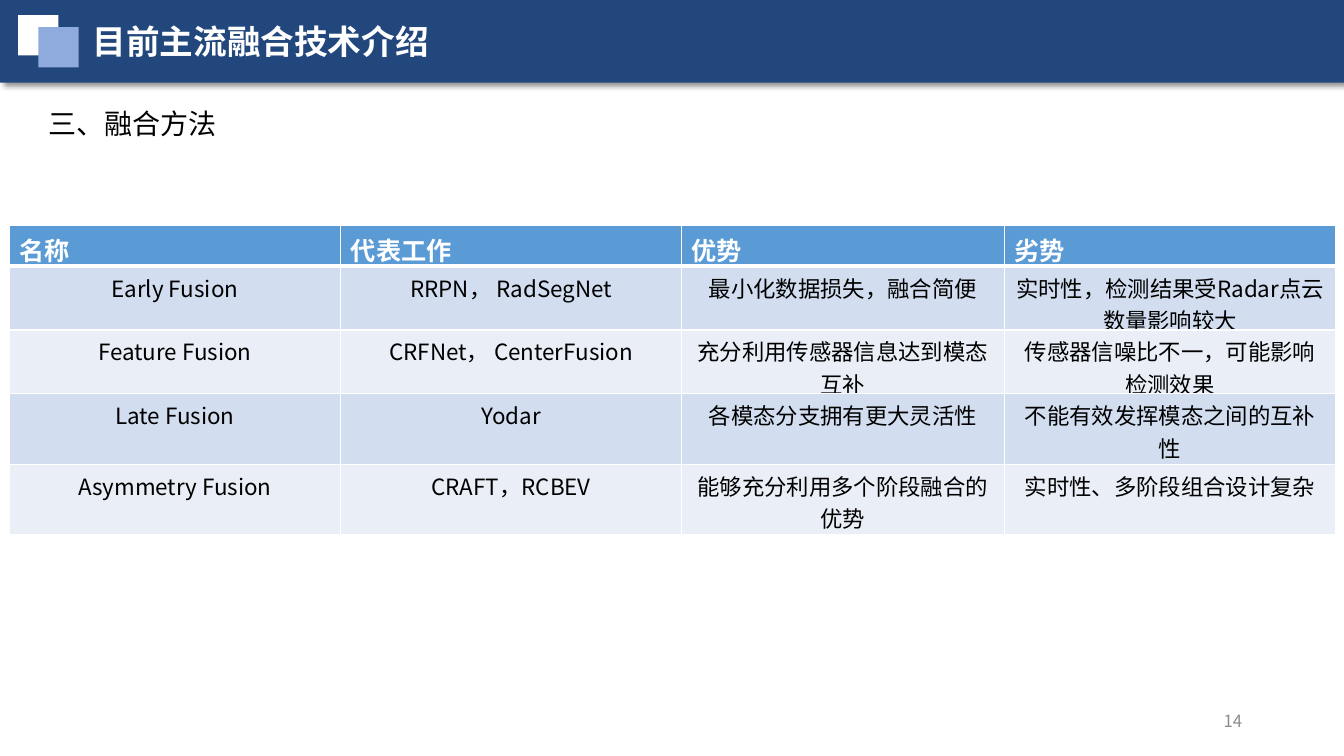
from lxml import etree
from pptx import Presentation
from pptx.dml.color import RGBColor
from pptx.enum.shapes import MSO_SHAPE
from pptx.enum.text import MSO_ANCHOR, PP_ALIGN
from pptx.oxml import parse_xml
from pptx.oxml.ns import nsdecls, qn
from pptx.util import Inches, Pt

RECTANGLE = MSO_SHAPE.RECTANGLE
TOP, MIDDLE = MSO_ANCHOR.TOP, MSO_ANCHOR.MIDDLE
LEFT, CENTER, RIGHT = PP_ALIGN.LEFT, PP_ALIGN.CENTER, PP_ALIGN.RIGHT

FONT = "Noto Sans CJK SC"
WHITE, BLACK, GRAY = "FFFFFF", "000000", "8C8C8C"
NAVY, LIGHT_BLUE, HEADER_BLUE = "22477D", "8FAADC", "5B9BD5"
BAND_FILLS = ["D2DEEF", "EAEFF7"]

COLUMN_WIDTHS = [3.29, 3.38, 3.2, 3.29]
ROW_HEIGHTS = [0.37, 0.63, 0.63, 0.7, 0.7]
FUSION_METHODS = [
    ["名称", "代表工作", "优势", "劣势"],
    ["Early Fusion", "RRPN， RadSegNet", "最小化数据损失，融合简便",
     "实时性，检测结果受Radar点云数量影响较大"],
    ["Feature Fusion", "CRFNet， CenterFusion", "充分利用传感器信息达到模态互补",
     "传感器信噪比不一，可能影响检测效果"],
    ["Late Fusion", "Yodar", "各模态分支拥有更大灵活性",
     "不能有效发挥模态之间的互补性"],
    ["Asymmetry Fusion", "CRAFT，RCBEV", "能够充分利用多个阶段融合的优势",
     "实时性、多阶段组合设计复杂"],
]


def color(value):
    return RGBColor.from_string(value)


def write_text(text_frame, text, size, text_color, bold=False, alignment=LEFT):
    paragraph = text_frame.paragraphs[0]
    paragraph.alignment = alignment
    run = paragraph.add_run()
    run.text = text
    run.font.size = Pt(size)
    run.font.bold = bold
    run.font.color.rgb = color(text_color)
    run.font.name = FONT
    properties = run.font._element
    etree.SubElement(properties, qn("a:ea")).set("typeface", FONT)


def add_rectangle(slide, left, top, width, height, fill):
    shape = slide.shapes.add_shape(
        RECTANGLE, Inches(left), Inches(top), Inches(width), Inches(height))
    shape.shadow.inherit = False
    shape.fill.solid()
    shape.fill.fore_color.rgb = color(fill)
    shape.line.fill.background()
    return shape


def add_shadow(shape):
    effects = shape._element.spPr.find(qn("a:effectLst"))
    effects.append(parse_xml(
        f'<a:outerShdw {nsdecls("a")} blurRad="{Pt(4)}" dist="{Pt(3)}" '
        f'dir="2700000" algn="tl" rotWithShape="0"><a:srgbClr val="{BLACK}">'
        '<a:alpha val="40000"/></a:srgbClr></a:outerShdw>'))


def add_text(slide, left, top, width, height, text, size, text_color,
             bold=False, alignment=LEFT, anchor=TOP):
    box = slide.shapes.add_textbox(
        Inches(left), Inches(top), Inches(width), Inches(height))
    box.text_frame.word_wrap = True
    box.text_frame.vertical_anchor = anchor
    write_text(box.text_frame, text, size, text_color, bold, alignment)


def set_borders(cell, bottom_width):
    properties = cell._tc.get_or_add_tcPr()
    for side, width in zip("LRTB", [1, 1, 1, bottom_width]):
        properties.append(parse_xml(
            f'<a:ln{side} {nsdecls("a")} w="{Pt(width)}"><a:solidFill>'
            f'<a:srgbClr val="{WHITE}"/></a:solidFill></a:ln{side}>'))


def add_method_table(slide, left, top):
    table = slide.shapes.add_table(
        len(ROW_HEIGHTS), len(COLUMN_WIDTHS), Inches(left), Inches(top),
        Inches(sum(COLUMN_WIDTHS)), Inches(sum(ROW_HEIGHTS))).table
    for column, width in zip(table.columns, COLUMN_WIDTHS):
        column.width = Inches(width)
    for row_index, (row, height) in enumerate(zip(table.rows, ROW_HEIGHTS)):
        row.height = Inches(height)
        is_header = row_index == 0
        fill = HEADER_BLUE if is_header else BAND_FILLS[(row_index - 1) % 2]
        for cell, text in zip(row.cells, FUSION_METHODS[row_index]):
            set_borders(cell, 3 if is_header else 1)
            cell.fill.solid()
            cell.fill.fore_color.rgb = color(fill)
            if is_header:
                write_text(cell.text_frame, text, 18, WHITE, bold=True)
            else:
                write_text(cell.text_frame, text, 16, BLACK, alignment=CENTER)


def main():
    presentation = Presentation()
    presentation.slide_width = Inches(13.33)
    presentation.slide_height = Inches(7.5)
    slide = presentation.slides.add_slide(presentation.slide_layouts[6])

    add_shadow(add_rectangle(slide, 0, 0, 13.33, 0.82, NAVY))
    add_rectangle(slide, 0.18, 0.15, 0.4, 0.4, WHITE)
    add_rectangle(slide, 0.38, 0.27, 0.4, 0.4, LIGHT_BLUE)
    add_text(slide, 9.42, 6.95, 3, 0.4, "14", 12, GRAY,
             alignment=RIGHT, anchor=MIDDLE)
    add_text(slide, 0.82, 0.16, 5.35, 0.5, "目前主流融合技术介绍", 24, WHITE, bold=True)
    add_method_table(slide, 0.09, 2.24)
    add_text(slide, 0.38, 1.01, 5.97, 0.44, "三、融合方法", 20, BLACK)

    presentation.save("out.pptx")


if __name__ == "__main__":
    main()
